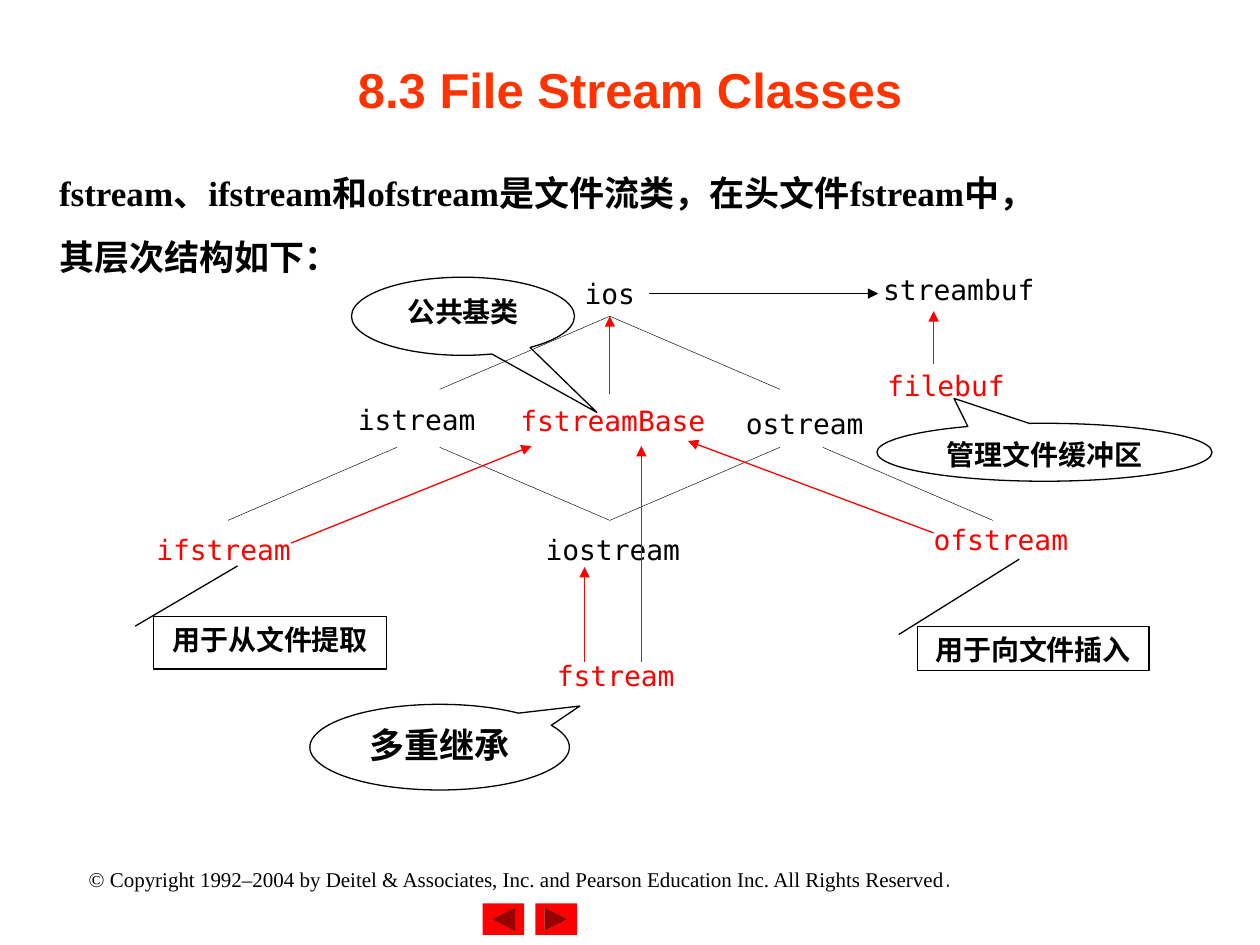
from dataclasses import dataclass

from lxml import etree
from pptx import Presentation
from pptx.dml.color import RGBColor
from pptx.enum.shapes import MSO_CONNECTOR, MSO_SHAPE
from pptx.enum.text import MSO_ANCHOR, MSO_AUTO_SIZE, PP_ALIGN
from pptx.oxml.ns import qn
from pptx.util import Inches, Pt

STRAIGHT = MSO_CONNECTOR.STRAIGHT
BOX_CALLOUT = MSO_SHAPE.LINE_CALLOUT_1
OVAL_CALLOUT = MSO_SHAPE.OVAL_CALLOUT
NEXT = MSO_SHAPE.ACTION_BUTTON_FORWARD_OR_NEXT
BACK = MSO_SHAPE.ACTION_BUTTON_BACK_OR_PREVIOUS
CENTER, LEFT = PP_ALIGN.CENTER, PP_ALIGN.LEFT
MIDDLE, TOP = MSO_ANCHOR.MIDDLE, MSO_ANCHOR.TOP

COLORS = {"black": "000000", "red": "FF0000", "title": "FF3300"}
SERIF, SANS, MONO = "Times New Roman", "Arial", "DejaVu Sans Mono"
FOOTER_END = "TeX Gyre Adventor"


@dataclass
class ClassName:
    text: str
    x: float
    y: float
    w: float
    h: float = 0.39
    color: str = "black"


@dataclass
class Arrow:
    start: tuple[float, float]
    end: tuple[float, float]
    color: str = "red"


@dataclass
class Callout:
    text: str
    kind: MSO_SHAPE
    box: tuple[float, float, float, float]
    adjustments: tuple[float, ...]
    size: int = 16


CLASS_NAMES = [
    ClassName("ios", 4.64, 2.28, 0.62),
    ClassName("iostream", 4.33, 4.31, 1.52),
    ClassName("ostream", 5.92, 3.31, 1.34),
    ClassName("istream", 2.84, 3.28, 1.34),
    ClassName("fstream", 4.42, 5.31, 1.34, color="red"),
    ClassName("ofstream", 7.41, 4.23, 1.52, color="red"),
    ClassName("ifstream", 1.24, 4.31, 1.52, color="red"),
    ClassName("streambuf", 7.01, 2.25, 1.23, 0.25),
    ClassName("filebuf", 7.04, 3.01, 1.23, 0.25, "red"),
    ClassName("fstreamBase", 4.13, 3.29, 1.58, 0.25, "red"),
]

# Thin inheritance lines between the standard stream classes
INHERITANCE = [
    [(6.19, 3.09), (4.84, 2.51), (3.49, 3.09)],
    [(6.19, 3.55), (4.84, 4.13), (3.49, 3.55)],
    [(3.15, 3.55), (1.81, 4.13)],
    [(6.53, 3.55), (7.88, 4.13)],
]

ARROWS = [
    Arrow((5.15, 2.33), (6.97, 2.33), "black"),
    Arrow((7.41, 2.89), (7.41, 2.47)),
    Arrow((4.84, 3.13), (4.84, 2.51)),
    Arrow((7.41, 4.23), (5.46, 3.5)),
    Arrow((2.31, 4.31), (4.22, 3.54)),
    Arrow((5.09, 5.25), (5.09, 3.54)),
    Arrow((4.64, 5.25), (4.64, 4.5)),
]

CALLOUTS = [
    Callout("用于从文件提取", BOX_CALLOUT, (1.22, 4.89, 1.85, 0.42),
            (0.19, -0.08, -0.95, 0.36)),
    Callout("用于向文件插入", BOX_CALLOUT, (7.28, 4.97, 1.84, 0.35),
            (0.19, -0.08, -1.52, 0.44)),
    Callout("管理文件缓冲区", OVAL_CALLOUT, (6.96, 3.36, 2.66, 0.46), (-0.27, -0.93)),
    Callout("公共基类", OVAL_CALLOUT, (2.79, 2.2, 1.77, 0.62), (0.6, 1.23)),
    Callout("多重继承", OVAL_CALLOUT, (2.46, 5.59, 2.06, 0.68), (0.54, -0.48), 20),
]


def rgb(name: str) -> RGBColor:
    return RGBColor.from_string(COLORS[name])


def add_run(p, text: str, font: str, size: int, color: str = "black", bold: bool = False):
    r = p.add_run()
    r.text = text
    r.font.name, r.font.size, r.font.bold = font, Pt(size), bold
    r.font.color.rgb = rgb(color)


def add_textbox(s, x: float, y: float, w: float, h: float,
                align=LEFT, anchor=TOP, wrap: bool = True):
    tf = s.shapes.add_textbox(Inches(x), Inches(y), Inches(w), Inches(h)).text_frame
    tf.word_wrap = wrap
    tf.vertical_anchor = anchor
    tf.paragraphs[0].alignment = align
    return tf


def add_class_name(s, c: ClassName):
    tf = add_textbox(s, c.x, c.y, c.w, c.h)
    tf.margin_left = tf.margin_right = tf.margin_top = tf.margin_bottom = 0
    p = tf.paragraphs[0]
    p.line_spacing = 0.64
    add_run(p, c.text, MONO, 16, c.color)


def add_line(s, start: tuple, end: tuple, color: str, width: float, arrow: bool = False):
    sp = s.shapes.add_connector(STRAIGHT, *(Inches(v) for v in (*start, *end)))
    sp.line.color.rgb = rgb(color)
    sp.line.width = Pt(width)
    if arrow:
        etree.SubElement(sp.line._get_or_add_ln(), qn("a:tailEnd"), type="triangle")
    etree.SubElement(sp._element.spPr, qn("a:effectLst"))


def add_inheritance(s, points: list[tuple[float, float]]):
    if len(points) == 2:
        add_line(s, *points, "black", 0.25)
        return
    pts = [(Inches(x), Inches(y)) for x, y in points]
    builder = s.shapes.build_freeform(*pts[0])
    builder.add_line_segments(pts[1:], close=False)
    outline(builder.convert_to_shape(), 0.25)


def outline(sp, width: float):
    sp.shadow.inherit = False
    sp.fill.background()
    sp.line.color.rgb = rgb("black")
    sp.line.width = Pt(width)


def add_callout(s, c: Callout):
    sp = s.shapes.add_shape(c.kind, *(Inches(v) for v in c.box))
    for i, value in enumerate(c.adjustments):
        sp.adjustments[i] = value
    outline(sp, 0.75)
    tf = sp.text_frame
    tf.word_wrap = True
    tf.vertical_anchor = TOP
    p = tf.paragraphs[0]
    p.alignment = CENTER
    add_run(p, c.text, SERIF, c.size, bold=True)


def add_button(s, kind: MSO_SHAPE, x: float):
    sp = s.shapes.add_shape(kind, Inches(x), Inches(7.17), Inches(0.33), Inches(0.25))
    sp.shadow.inherit = False
    sp.fill.solid()
    sp.fill.fore_color.rgb = rgb("red")
    sp.line.fill.background()


def main():
    prs = Presentation()
    prs.slide_width, prs.slide_height = Inches(10), Inches(7.5)
    s = prs.slides.add_slide(prs.slide_layouts[6])

    # Navigation buttons and copyright line
    add_button(s, NEXT, 4.25)
    add_button(s, BACK, 3.83)
    p = add_textbox(s, 0.5, 6.83, 7.25, 0.3, CENTER).paragraphs[0]
    add_run(p, "© Copyright 1992–2004 by Deitel & Associates, Inc. and Pearson Education Inc. "
               "All Rights Reserved", SERIF, 12)
    add_run(p, ".", FOOTER_END, 12)

    # Title and introduction
    p = add_textbox(s, 0.75, 0.08, 8.5, 1.25, CENTER, MIDDLE).paragraphs[0]
    add_run(p, "8.3 File Stream Classes", SANS, 28, "title", True)
    tf = add_textbox(s, 0.37, 1.31, 8.42, 0.94, wrap=False)
    tf.auto_size = MSO_AUTO_SIZE.SHAPE_TO_FIT_TEXT
    add_run(tf.paragraphs[0], "fstream、ifstream和ofstream是文件流类，在头文件fstream中，",
            SERIF, 20, bold=True)
    p = tf.add_paragraph()
    p.space_before = Pt(12.5)
    add_run(p, "其层次结构如下：", SERIF, 20, bold=True)

    # Class hierarchy
    for points in INHERITANCE:
        add_inheritance(s, points)
    for name in CLASS_NAMES:
        add_class_name(s, name)
    for a in ARROWS:
        add_line(s, a.start, a.end, a.color, 0.75, arrow=True)
    for callout in CALLOUTS:
        add_callout(s, callout)

    prs.save("out.pptx")


if __name__ == "__main__":
    main()
